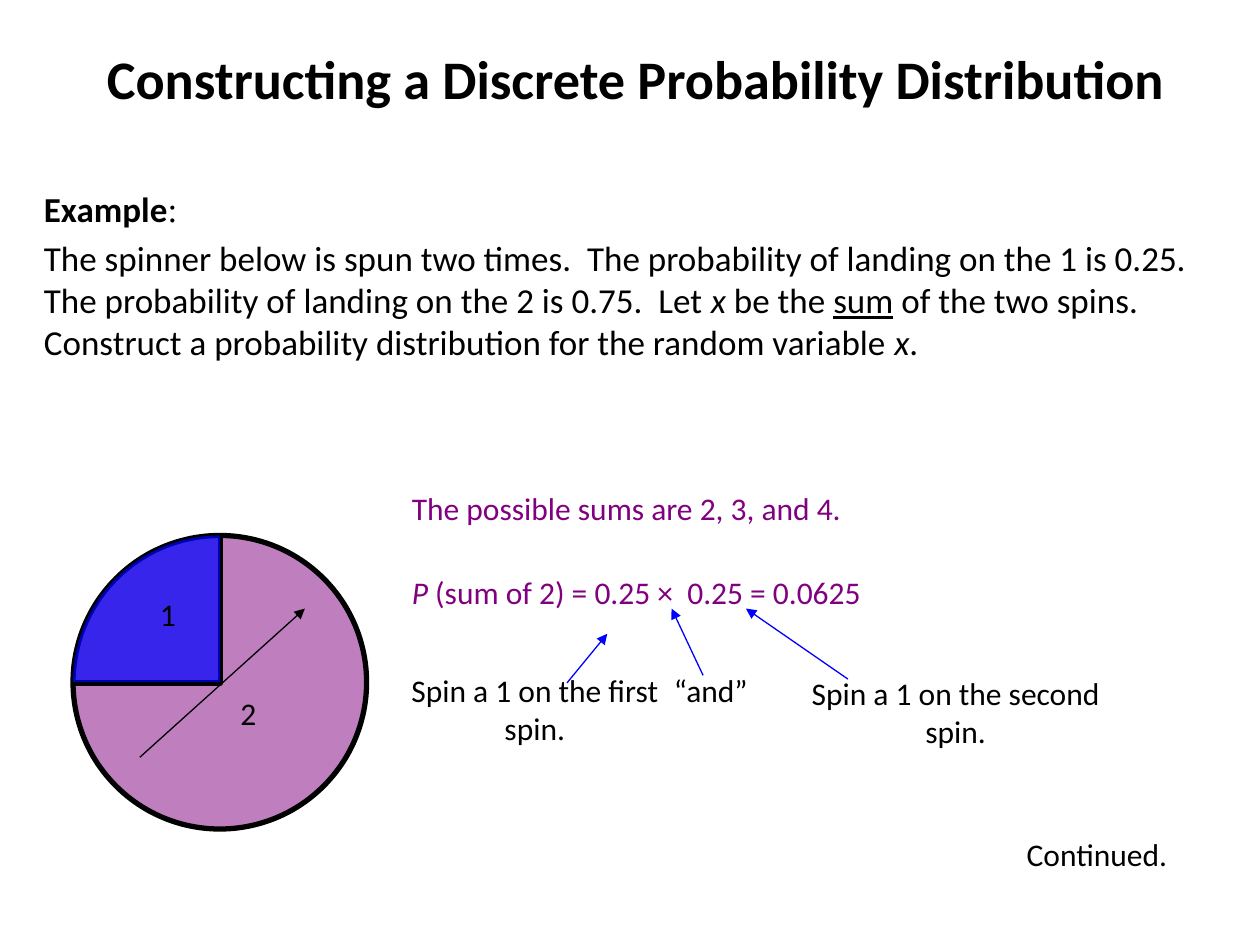
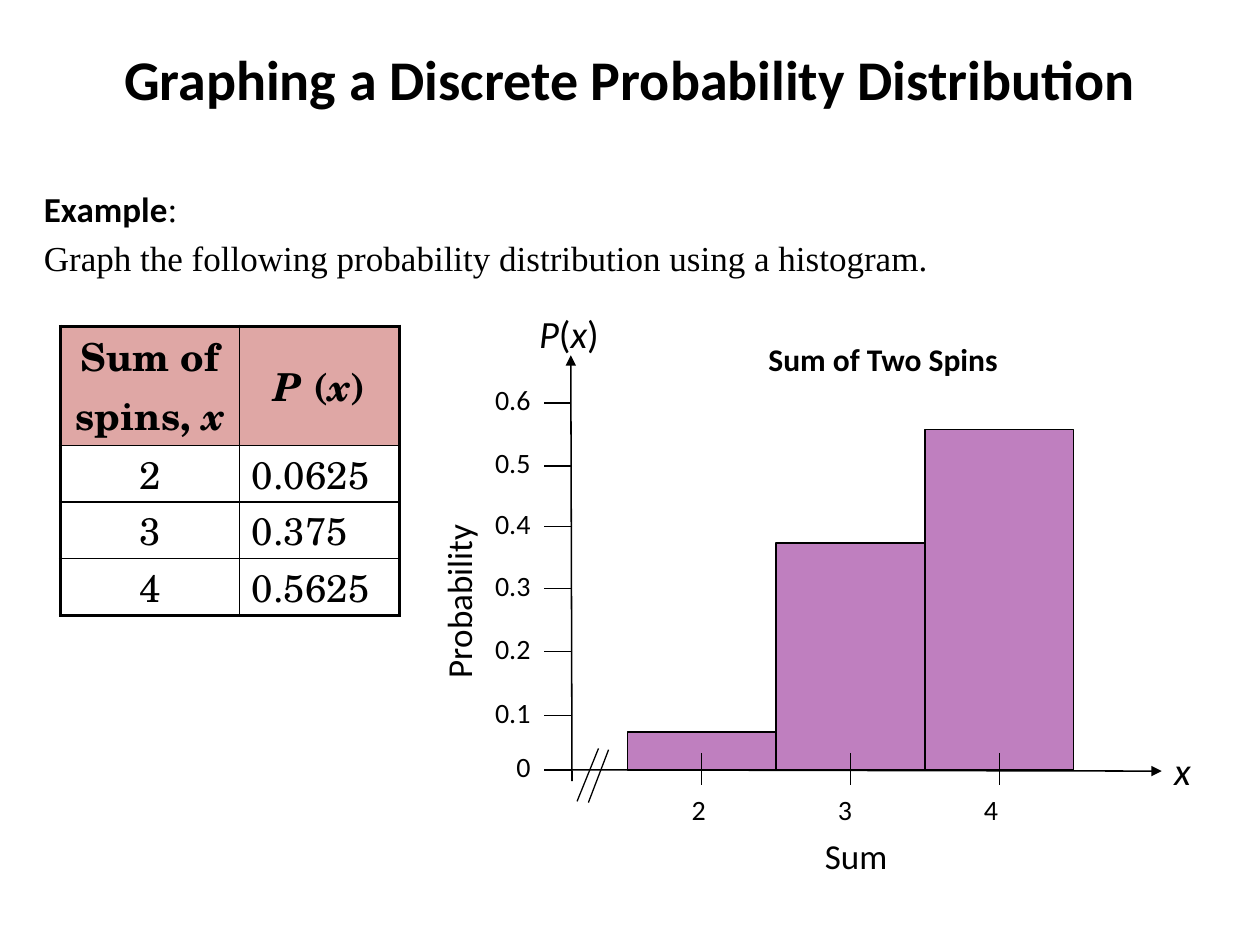
"""Build two slides on constructing and graphing a discrete probability distribution."""
from dataclasses import dataclass

from lxml.etree import SubElement
from pptx import Presentation
from pptx.dml.color import RGBColor
from pptx.enum.shapes import MSO_CONNECTOR, MSO_SHAPE
from pptx.enum.text import MSO_ANCHOR, MSO_AUTO_SIZE, PP_ALIGN
from pptx.oxml.ns import qn
from pptx.util import Pt

PX = 9144


@dataclass(frozen=True)
class Theme:
    black: str = "000000"
    purple: str = "800080"
    blue: str = "0000FF"
    red: str = "C0504D"
    sans: str = "Calibri"
    serif: str = "Times New Roman"
    school: str = "TeX Gyre Schola"
    body: int = 20
    note: int = 18
    tick: int = 16
    symbol: int = 22


T = Theme()
B, I, U = {"bold": True}, {"italic": True}, {"underline": True}
CENTER = PP_ALIGN.CENTER


def write(tf, paras, align=PP_ALIGN.LEFT, size=T.note, name=T.sans, color=T.black, bold=False):
    for i, runs in enumerate(paras):
        p = tf.add_paragraph() if i else tf.paragraphs[0]
        p.alignment = align
        p.space_before = Pt(4 if i else 0)
        for words, changes in runs:
            r = p.add_run()
            r.text = words
            fmt = {"size": Pt(size), "name": name, "bold": bold, **changes}
            for key, value in fmt.items():
                setattr(r.font, key, value)
            r.font.color.rgb = RGBColor.from_string(color)


def tint(fill, props, color, opacity):
    fill.solid()
    fill.fore_color.rgb = RGBColor.from_string(color)
    clr = props.find(qn("a:solidFill")).find(qn("a:srgbClr"))
    SubElement(clr, qn("a:alpha")).set("val", str(opacity * 1000))


prs = Presentation()
prs.slide_width, prs.slide_height = 1000 * PX, 750 * PX

slides = []
for words, size, left in [
    ("Constructing a Discrete Probability Distribution", 31, 8),
    ("Graphing a Discrete Probability Distribution", 32, 0),
]:
    s = prs.slides.add_slide(prs.slide_layouts[5])
    title = s.shapes.title
    title.left, title.top = left * PX, 8 * PX
    title.width, title.height = (1000 - left) * PX, 108 * PX
    tf = title.text_frame
    tf.auto_size = MSO_AUTO_SIZE.NONE
    tf.vertical_anchor = MSO_ANCHOR.MIDDLE
    write(tf, [[(words, {})]], CENTER, size, bold=True)
    slides.append(s)
spinner, graph = slides

example = [("Example", B), (":", {"name": T.serif})]
task = [
    ("The spinner below is spun two times.  The probability of landing on the 1 is 0.25. "
     "The probability of landing on the 2 is 0.75.  Let ", {}),
    ("x", I), (" be the ", {}), ("sum", U),
    (" of the two spins. Construct a probability distribution for the random variable ", {}),
    ("x", I), (".", {}),
]
graph_task = [("Graph the following probability distribution using a histogram.",
               {"name": T.serif})]
product = [("P", I), (" (sum of 2) = 0.25 ×  0.25 = 0.0625", {})]
body = {"size": T.body}
purple = {"color": T.purple}
centered = {"align": CENTER}
symbol = {"size": T.symbol}

boxes = [
    (spinner, (25, 144, 945, 190), [example, task], body),
    (spinner, (181, 546, 58, 50), [[("2", {})]], {}),
    (spinner, (117, 467, 58, 50), [[("1", {})]], {}),
    (spinner, (805, 658, 190, 50), [[("Continued.", {})]], {}),
    (spinner, (317, 383, 542, 50), [[("The possible sums are 2, 3, and 4.", {})]], purple),
    (spinner, (317, 450, 642, 50), [product], purple),
    (spinner, (525, 528, 104, 50), [[("“and”", {})]], {}),
    (spinner, (308, 528, 233, 90), [[("Spin a 1 on the first spin.", {})]], centered),
    (spinner, (617, 530, 283, 90), [[("Spin a 1 on the second spin.", {})]], centered),
    (graph, (25, 144, 945, 65), [example, graph_task], body),
    (graph, (600, 265, 348, 50), [[("Sum of Two Spins", {})]], B),
    (graph, (922, 588, 37, 47), [[("x", I)]], symbol),
    (graph, (418, 241, 87, 47), [[("P", I), ("(", {}), ("x", I), (")", {})]], symbol),
    (graph, (592, 657, 175, 43), [[("Sum", {})]], {**body, **centered}),
    (graph, (276, 439, 175, 43), [[("Probability", {})]], {**body, "turn": 270}),
]
lines = [
    (spinner, (111, 601, 242, 483), T.black, 0.75, True),
    (spinner, (558, 536, 533, 483), T.blue, 0.75, True),
    (spinner, (450, 542, 482, 503), T.blue, 0.75, True),
    (spinner, (673, 539, 592, 483), T.blue, 0.75, True),
    (graph, (454, 620, 453, 282), T.black, 0.88, True),
    (graph, (447, 611, 922, 612), T.black, 0.88, True),
    (graph, (475, 594, 458, 636), T.black, 0.75, False),
    (graph, (483, 595, 467, 637), T.black, 0.75, False),
]

dial = [v * PX for v in (58, 425, 233, 233)]
circle = spinner.shapes.add_shape(MSO_SHAPE.OVAL, *dial)
tint(circle.fill, circle._element.spPr, T.purple, 50)
corner = spinner.shapes.build_freeform(58, 542, scale=float(PX))
corner.add_line_segments([(175, 542), (175, 425)], close=False)
edges = corner.convert_to_shape()
edges.fill.background()
for sp in (circle, edges):
    sp.line.color.rgb = RGBColor.from_string(T.black)
    sp.line.width = Pt(3)
    sp.shadow.inherit = False
quarter = spinner.shapes.add_shape(MSO_SHAPE.PIE, *dial)
quarter.adjustments[0], quarter.adjustments[1] = 108, 162
tint(quarter.fill, quarter._element.spPr, T.blue, 70)
quarter.line.fill.background()
quarter.shadow.inherit = False

distribution = [("2", 0.0625), ("3", 0.375), ("4", 0.5625)]
bar_left, bar_width, base, unit = 498, 118, 611, 480
for i, (total, chance) in enumerate(distribution):
    left, height = bar_left + i * bar_width, round(unit * chance)
    sp = graph.shapes.add_shape(MSO_SHAPE.RECTANGLE, left * PX, (base - height) * PX,
                                bar_width * PX, height * PX)
    tint(sp.fill, sp._element.spPr, T.purple, 50)
    sp.line.color.rgb = RGBColor.from_string(T.black)
    sp.line.width = Pt(0.88)
    sp.shadow.inherit = False
    middle = left + bar_width // 2
    lines.append((graph, (middle, 598, middle, 623), T.black, 0.75, False))
    boxes.append((graph, (549 + 116 * i, 629, 20, 27), [[(total, {})]],
                  {"size": T.tick, "inset": 0}))

for i, y in enumerate([611, 568, 517, 467, 418, 370, 320]):
    label = f"{i / 10:.1f}" if i else "0"
    lines.append((graph, (432, y, 453, y), T.black, 0.88, False))
    boxes.append((graph, (351, y - 16, 70, 27), [[(label, {})]],
                  {"size": T.tick, "inset": 0, "align": PP_ALIGN.RIGHT}))

rows = [
    [[("Sum of spins,", B), (" x", {**B, **I})],
     [("P", {**B, **I}), (" (", B), ("x", {**B, **I}), (")", B)]],
] + [[[(total, {})], [(str(chance), {})]] for total, chance in distribution]
table = graph.shapes.add_table(4, 2, 48 * PX, 259 * PX, 269 * PX, 229 * PX).table
table.first_row = table.horz_banding = False
for col, width in zip(table.columns, (142, 127)):
    col.width = width * PX
for y, (row, height) in enumerate(zip(table.rows, (94, 45, 45, 45))):
    row.height = height * PX
    for x, cell in enumerate(row.cells):
        cell.margin_left = cell.margin_right = 10 * PX
        cell.margin_top = cell.margin_bottom = 0
        cell.vertical_anchor = MSO_ANCHOR.MIDDLE
        align = PP_ALIGN.LEFT if x and y else CENTER
        write(cell.text_frame, [rows[y][x]], align, T.symbol, T.school)
        props = cell._tc.get_or_add_tcPr()
        for side, outer in (("L", x == 0), ("R", x == 1), ("T", y == 0), ("B", y == 3)):
            ln = SubElement(props, qn(f"a:ln{side}"), w=str(Pt(2.25 if outer else 1)))
            SubElement(SubElement(ln, qn("a:solidFill")), qn("a:srgbClr"), val=T.black)
        if y:
            cell.fill.background()
        else:
            tint(cell.fill, props, T.red, 50)

for s, box, paras, fmt in boxes:
    fmt = dict(fmt)
    inset, turn = fmt.pop("inset", 10), fmt.pop("turn", 0)
    tb = s.shapes.add_textbox(*[v * PX for v in box])
    tb.rotation = turn
    tf = tb.text_frame
    settings = {"word_wrap": True, "margin_left": inset * PX, "margin_right": inset * PX,
                "margin_top": inset * PX // 2, "margin_bottom": inset * PX // 2}
    for key, value in settings.items():
        setattr(tf, key, value)
    write(tf, paras, **fmt)

for s, ends, color, width, arrow in lines:
    sp = s.shapes.add_connector(MSO_CONNECTOR.STRAIGHT, *[v * PX for v in ends])
    sp.line.color.rgb = RGBColor.from_string(color)
    sp.line.width = Pt(width)
    if arrow:
        SubElement(sp.line._get_or_add_ln(), qn("a:tailEnd"), type="triangle")
    SubElement(sp._element.spPr, qn("a:effectLst"))

prs.save("out.pptx")
